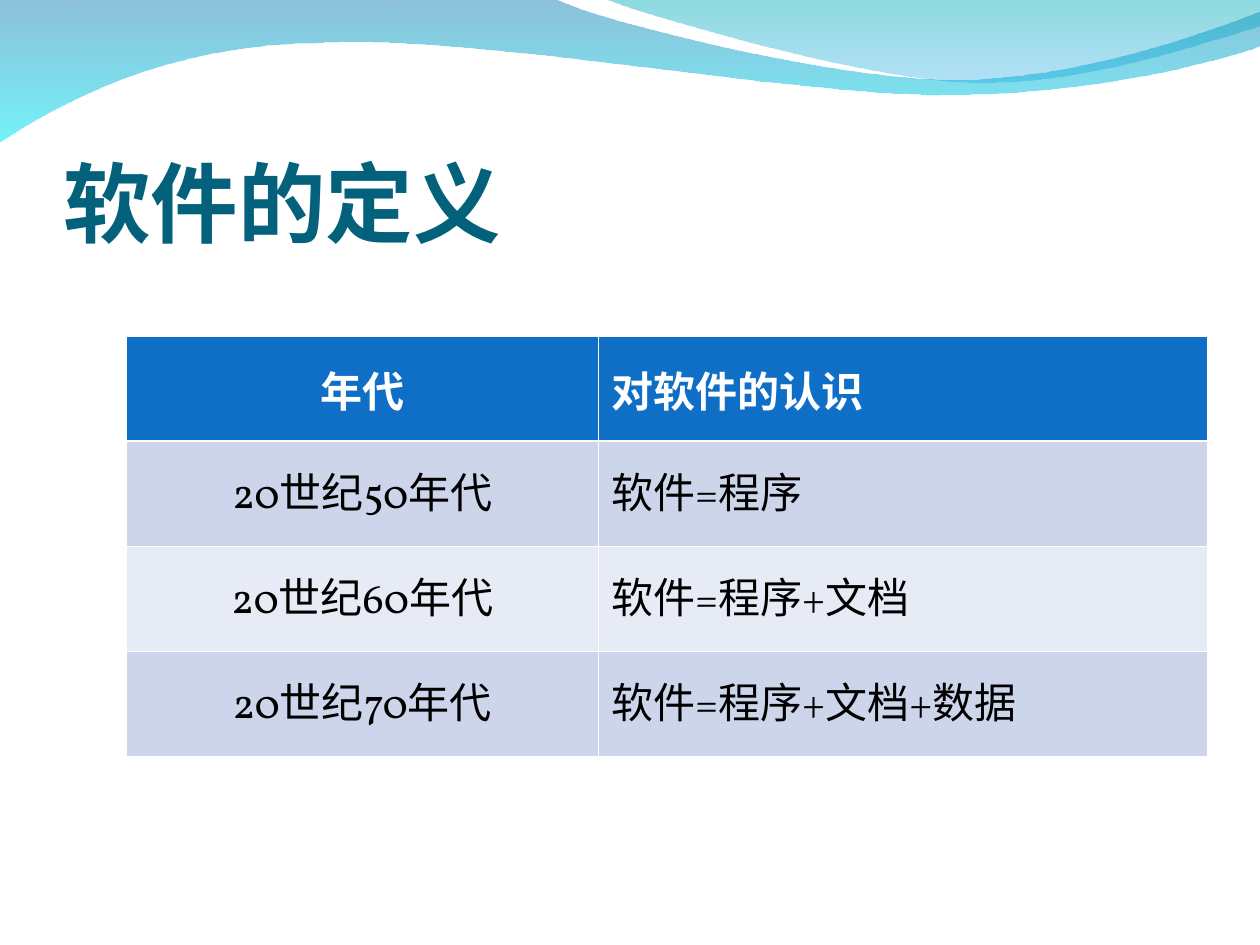
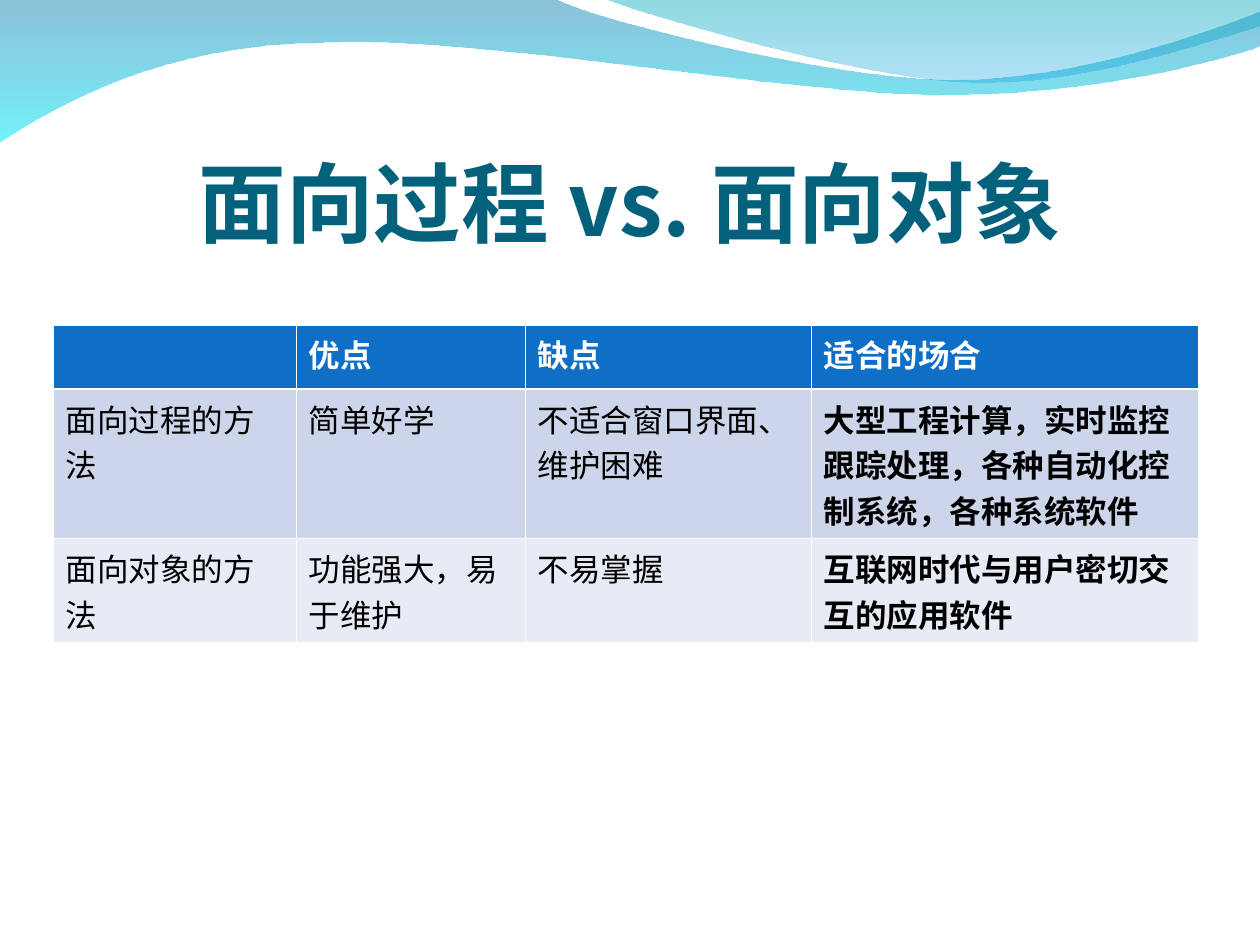
import dataclasses

import lxml.etree
import pptx
import pptx.dml.color
import pptx.enum.text
import pptx.oxml.ns
import pptx.util

Inches = pptx.util.Inches
Align = pptx.enum.text.PP_ALIGN
Anchor = pptx.enum.text.MSO_ANCHOR
qn = pptx.oxml.ns.qn


@dataclasses.dataclass(frozen=True)
class Theme:
    title: str = "04617B"
    head: str = "0F6FC6"
    odd: str = "CCD5EA"
    even: str = "E7EBF5"
    white: str = "FFFFFF"
    black: str = "000000"
    sans: str = "Noto Sans CJK SC"
    serif: str = "Vollkorn"
    big: int = 50
    mid: int = 24
    small: int = 18
    thin: float = 0.45
    thick: float = 1.47


THEME = Theme()

WIDE = [
    [(0, -0.01)],
    [(4.4, -0.01)],
    [(4.76, 0.17), (6.64, 0.63), (7.58, 0.63)],
    [(8.53, 0.63), (9.58, 0.26), (10, 0.09)],
    [(10.01, 0.36)],
    [(9.83, 0.44), (8.7, 0.76), (7.46, 0.75)],
    [(6.22, 0.75), (3.82, 0.28), (2.57, 0.34)],
    [(1.29, 0.35), (0.46, 0.83), (-0.01, 1.13)],
    [(0, -0.01)],
]
SHORT = [
    [(4.79, -0.01)],
    [(5.09, 0.11), (6.82, 0.62), (7.69, 0.65)],
    [(8.56, 0.69), (9.61, 0.32), (10, 0.21)],
    [(10, 0)],
    [(4.79, -0.01)],
]
WAVES = [
    (WIDE, [("0079AF", 45), ("00EBF8", 55)]),
    (SHORT, [("00ADB6", 45), ("009BE5", 30)]),
]


def color(code):
    return pptx.dml.color.RGBColor.from_string(code)


def add_node(parent, tag, **attrs):
    return lxml.etree.SubElement(parent, qn(tag), **attrs)


def style(para, face, size, code, bold):
    for run in para.runs:
        font = run.font
        font.name, font.size, font.bold = face, pptx.util.Pt(size), bold
        font.color.rgb = color(code)
        add_node(run._r.get_or_add_rPr(), "a:ea", typeface=THEME.sans)


def bend(shape, legs):
    lines = iter(list(shape.element.iter(qn("a:lnTo"))))
    for leg in legs[1:]:
        nodes = [next(lines) for _ in leg]
        if len(leg) == 3:
            curve = lxml.etree.Element(qn("a:cubicBezTo"))
            nodes[0].addprevious(curve)
            for node in nodes:
                curve.append(node[0])
                node.getparent().remove(node)


def add_wave(slide, layout, legs, stops):
    points = [(Inches(x), Inches(y)) for leg in legs for x, y in leg]
    form = slide.shapes.build_freeform(*points[0])
    form.add_line_segments(points[1:], close=True)
    wave = form.convert_to_shape()
    bend(wave, legs)
    wave.shadow.inherit = False
    wave.line.fill.background()
    wave.fill.gradient()
    wave.fill.gradient_angle = 270
    for stop, (code, _) in zip(wave.fill.gradient_stops, stops):
        stop.color.rgb = color(code)
    nodes = wave.element.spPr.iter(qn("a:srgbClr"))
    for node, (_, alpha) in zip(nodes, stops):
        add_node(node, "a:alpha", val=str(alpha * 1000))
    layout.shapes.element.append(wave.element)


def add_slide(deck, layout, text, align):
    slide = deck.slides.add_slide(layout)
    title = slide.shapes.title
    title.left, title.top = Inches(0.5), Inches(0.77)
    title.width, title.height = Inches(9), Inches(1.25)
    frame = title.text_frame
    frame.text = text
    frame.word_wrap = True
    frame.auto_size = pptx.enum.text.MSO_AUTO_SIZE.NONE
    frame.vertical_anchor = Anchor.BOTTOM
    frame.margin_left = frame.margin_right = frame.margin_bottom = 0
    frame.margin_top = Inches(0.05)
    para = frame.paragraphs[0]
    para.alignment = align
    style(para, THEME.sans, THEME.big, THEME.title, True)
    return slide


def add_edges(cell, row):
    top = THEME.thick if row == 1 else THEME.thin
    low = THEME.thick if row == 0 else THEME.thin
    sides = {"L": THEME.thin, "R": THEME.thin, "T": top, "B": low}
    props = cell._tc.get_or_add_tcPr()
    for side, width in sides.items():
        line = add_node(props, f"a:ln{side}", w=str(pptx.util.Pt(width)))
        fill = add_node(line, "a:solidFill")
        add_node(fill, "a:srgbClr", val=THEME.white)


def add_table(slide, spot, widths, heights, data, size, anchor, center=(), strong=()):
    left, top = map(Inches, spot)
    frame = slide.shapes.add_table(
        len(heights), len(widths), left, top,
        Inches(sum(widths)), Inches(sum(heights)))
    table = frame.table
    for col, width in zip(table.columns, widths):
        col.width = Inches(width)
    for row, height in zip(table.rows, heights):
        row.height = Inches(height)
    for r, texts in enumerate(data):
        back = THEME.head if r == 0 else THEME.odd if r % 2 else THEME.even
        ink = THEME.white if r == 0 else THEME.black
        for c, text in enumerate(texts):
            cell = table.cell(r, c)
            add_edges(cell, r)
            cell.fill.solid()
            cell.fill.fore_color.rgb = color(back)
            cell.vertical_anchor = anchor
            cell.text_frame.text = text
            para = cell.text_frame.paragraphs[0]
            para.alignment = Align.CENTER if c in center else Align.LEFT
            style(para, THEME.serif, size, ink, r == 0 or c in strong)


def main():
    deck = pptx.Presentation()
    deck.slide_width, deck.slide_height = Inches(10), Inches(7.5)
    layout = deck.slide_layouts[5]

    terms = add_slide(deck, layout, "软件的定义", Align.LEFT)
    for legs, stops in WAVES:
        add_wave(terms, layout, legs, stops)
    add_table(terms, (1, 2.67), [3.75, 4.83], [3.33 / 4] * 4, [
        ("年代", "对软件的认识"),
        ("20世纪50年代", "软件=程序"),
        ("20世纪60年代", "软件=程序+文档"),
        ("20世纪70年代", "软件=程序+文档+数据"),
    ], THEME.mid, Anchor.MIDDLE, center=(0,))

    versus = add_slide(deck, layout, "面向过程 vs. 面向对象", Align.CENTER)
    add_table(versus, (0.42, 2.58), [1.93, 1.82, 2.27, 3.07], [0.51, 1.07, 0.75], [
        ("", "优点", "缺点", "适合的场合"),
        ("面向过程的方法", "简单好学", "不适合窗口界面、维护困难",
         "大型工程计算，实时监控跟踪处理，各种自动化控制系统，各种系统软件"),
        ("面向对象的方法", "功能强大，易于维护", "不易掌握",
         "互联网时代与用户密切交互的应用软件"),
    ], THEME.small, Anchor.TOP, strong=(3,))

    deck.save("out.pptx")


if __name__ == "__main__":
    main()
